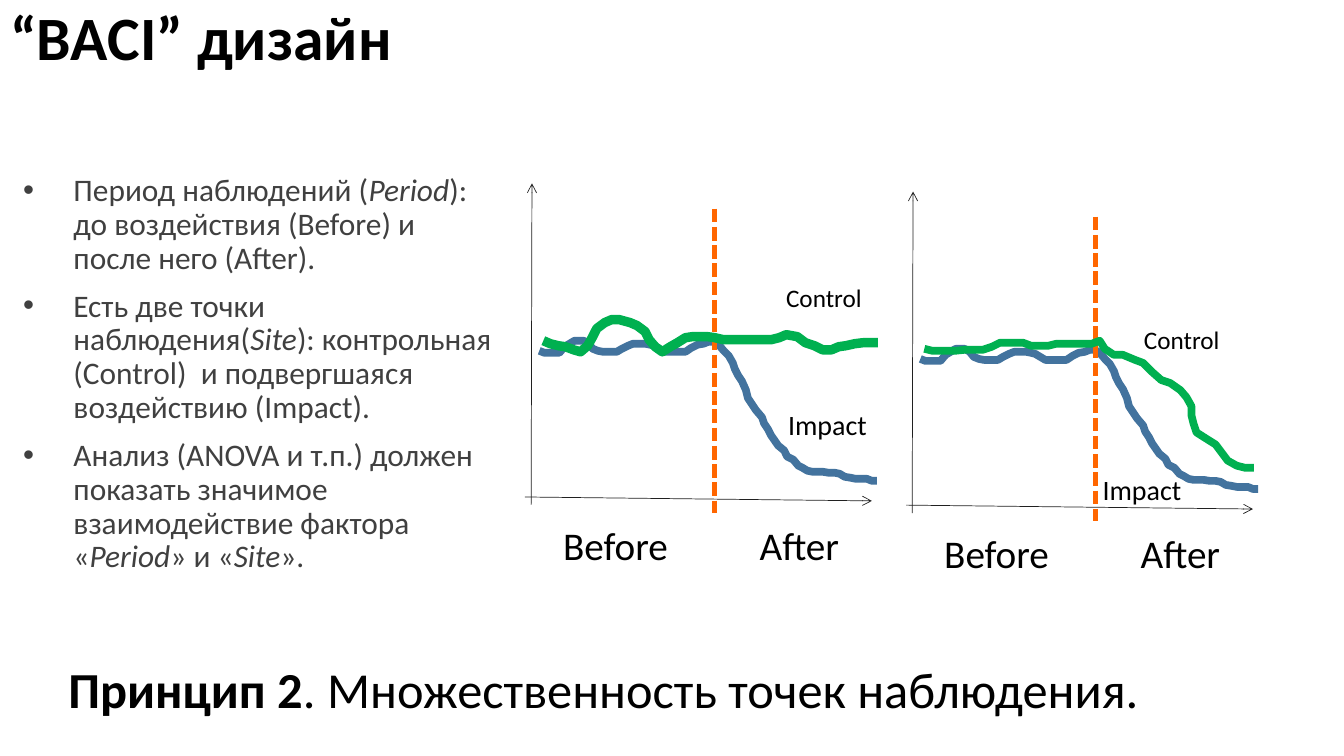
from dataclasses import dataclass

from lxml import etree
from pptx import Presentation
from pptx import util as u
from pptx.dml.color import RGBColor
from pptx.enum import dml, shapes, text
from pptx.oxml.ns import qn


@dataclass(frozen=True)
class Theme:
    font: str = "Calibri"
    black: str = "000000"
    gray: str = "404040"
    axis: str = "202020"
    blue: str = "43739E"
    green: str = "00B050"
    orange: str = "FF6600"
    title: float = 44
    note: float = 36
    period: float = 28
    body: float = 22.4
    impact: float = 20
    control: float = 18
    unit: float = 0.72  # points per curve unit


class Deck:
    def __init__(self, theme, slide):
        self.theme, self.slide = theme, slide

    def fill(self, para, words, size, color, bold=False, mark="italic"):
        """Fill a paragraph; parts between asterisks get the marked style."""
        for i, part in enumerate(words.split("*")):
            if not part:
                continue
            run = para.add_run()
            run.text = part
            font = run.font
            font.name, font.size, font.bold = self.theme.font, u.Pt(size), bold
            font.color.rgb = RGBColor.from_string(color)
            if i % 2 and mark == "bold":
                font.bold = True
            elif i % 2:
                font.italic = True

    def title(self, words, x, y, w, h):
        box = self.slide.shapes.title
        box.left, box.top, box.width, box.height = map(u.Pt, (x, y, w, h))
        frame = box.text_frame
        frame.vertical_anchor = text.MSO_ANCHOR.MIDDLE
        para = frame.paragraphs[0]
        para.alignment, para.line_spacing = text.PP_ALIGN.LEFT, 0.9
        self.fill(para, words, self.theme.title, self.theme.black, bold=True)

    def box(self, x, y, w, h, wrap=True):
        frame = self.slide.shapes.add_textbox(*map(u.Pt, (x, y, w, h))).text_frame
        frame.word_wrap = wrap
        return frame

    def label(self, words, x, y, w, h, size, wrap=True, center=False, mark="italic"):
        para = self.box(x, y, w, h, wrap).paragraphs[0]
        para.alignment = text.PP_ALIGN.CENTER if center else text.PP_ALIGN.LEFT
        self.fill(para, words, size, self.theme.black, mark=mark)

    def bullets(self, items, x, y, w, h):
        frame = self.box(x, y, w, h)
        for i, item in enumerate(items):
            para = frame.add_paragraph() if i else frame.paragraphs[0]
            para.line_spacing = 0.9
            para.space_before = u.Pt(10 if i else 0)
            props = para._p.get_or_add_pPr()
            props.set("marL", str(u.Pt(36)))
            props.set("indent", str(-u.Pt(36)))
            etree.SubElement(props, qn("a:buFont"), typeface="Arial")
            etree.SubElement(props, qn("a:buChar"), char="•")
            self.fill(para, item, self.theme.body, self.theme.gray)

    def line(self, x1, y1, x2, y2, color, width, arrow=False, dash=None):
        link = self.slide.shapes.add_connector(
            shapes.MSO_CONNECTOR.STRAIGHT, *map(u.Pt, (x1, y1, x2, y2)))
        link.line.color.rgb = RGBColor.from_string(color)
        link.line.width = u.Pt(width)
        if dash:
            link.line.dash_style = dash
        if arrow:
            etree.SubElement(link.line._get_or_add_ln(), qn("a:tailEnd"), type="arrow")
        etree.SubElement(link._element.spPr, qn("a:effectLst"))

    def curve(self, points, dx, dy, color, width):
        form = self.slide.shapes.build_freeform(*points[0], scale=u.Pt(self.theme.unit))
        form.add_line_segments(points[1:], close=False)
        shape = form.convert_to_shape(u.Pt(dx), u.Pt(dy))
        shape.shadow.inherit = False
        shape.fill.background()
        shape.line.color.rgb = RGBColor.from_string(color)
        shape.line.width = u.Pt(width)

    def plot(self, dx, dy, control, weight, name, impact):
        """Draw one before/after plot, shifted by dx and dy."""
        t = self.theme
        # Axes
        for x1, y1, x2, y2 in ((375, 355, 622.8, 357.8), (379.4, 360.7, 380, 131)):
            self.line(x1 + dx, y1 + dy, x2 + dx, y2 + dy, t.axis, 0.5, arrow=True)
        # Impact curve and moment of impact
        self.curve(IMPACT, dx, dy, t.blue, 5.5)
        self.line(510.5 + dx, 149 + dy, 510.5 + dx, 366.5 + dy, t.orange, 3.25,
                  dash=dml.MSO_LINE.SQUARE_DOT)
        # Period names
        for words, x in (("Before", 388.2), ("After", 519.5)):
            self.label(words, x + dx, 368.6 + dy, 103, 41, t.period, center=True)
        # Control curve and site names
        self.curve(control, dx, dy, t.green, weight)
        self.label("Control", name[0] + dx, name[1] + dy, 68.4, 29, t.control, wrap=False)
        self.label("Impact", impact[0] + dx, impact[1] + dy, 70.6, 31.5, t.impact, wrap=False)


# Curve points, in theme units
IMPACT = [
    (535, 348), (540, 350), (545, 350), (550, 350), (555, 350), (560, 344),
    (565, 341), (570, 338), (574, 338), (579, 338), (584, 341), (588, 346),
    (593, 348), (598, 349), (603, 349), (608, 349), (612, 349), (617, 346),
    (623, 343), (628, 341), (634, 341), (640, 341), (645, 342), (649, 343),
    (654, 346), (659, 349), (664, 349), (669, 349), (675, 349), (680, 349),
    (686, 345), (692, 342), (698, 341), (703, 339), (708, 339), (713, 342),
    (718, 348), (723, 353), (727, 360), (729, 366), (732, 372), (736, 378),
    (740, 387), (742, 395), (750, 407), (756, 414), (758, 420), (762, 426),
    (765, 432), (772, 442), (778, 447), (781, 453), (787, 456), (792, 462),
    (796, 464), (801, 467), (806, 468), (811, 468), (816, 468), (822, 469),
    (828, 469), (833, 470), (838, 473), (844, 474), (849, 475), (855, 475),
    (860, 475), (865, 477), (870, 477)]
STEADY = [
    (539, 338), (546, 341), (554, 343), (561, 344), (569, 347), (576, 349),
    (583, 343), (588, 334), (592, 326), (600, 320), (607, 317), (614, 317),
    (625, 320), (632, 323), (640, 329), (644, 337), (650, 344), (657, 349),
    (665, 344), (672, 340), (680, 335), (687, 334), (694, 334), (702, 334),
    (709, 335), (718, 337), (725, 337), (733, 337), (742, 337), (751, 337),
    (758, 337), (765, 337), (773, 335), (780, 332), (791, 334), (799, 340),
    (808, 343), (816, 347), (825, 347), (832, 344), (839, 343), (848, 341),
    (856, 340), (863, 340), (871, 340)]
FALLING = [
    (539, 338), (547, 340), (554, 340), (562, 340), (570, 340), (579, 339),
    (588, 339), (597, 339), (606, 336), (614, 332), (622, 332), (630, 332),
    (637, 332), (645, 335), (654, 335), (662, 335), (670, 333), (678, 333),
    (687, 333), (697, 333), (705, 333), (713, 330), (718, 338), (727, 344),
    (736, 344), (748, 349), (756, 352), (765, 361), (774, 369), (783, 372),
    (793, 379), (799, 386), (804, 395), (804, 404), (806, 412), (809, 421),
    (820, 428), (828, 433), (834, 441), (840, 449), (849, 454), (857, 456),
    (866, 456)]


def main():
    show = Presentation()
    show.slide_width, show.slide_height = u.Pt(960), u.Pt(540)
    theme = Theme()
    deck = Deck(theme, show.slides.add_slide(show.slide_layouts[5]))

    # Title and key points
    deck.title("“BACI” дизайн", 0, -2.2, 828, 62.6)
    deck.bullets([
        "Период наблюдений (*Period*): до воздействия (Before) и после него (After).",
        "Есть две точки наблюдения(*Site*): контрольная (Control)  и подвергшаяся "
        "воздействию (Impact).",
        "Анализ (ANOVA и т.п.) должен показать значимое  взаимодействие фактора "
        "«*Period*» и «*Site*».",
    ], 9.4, 121, 354.2, 294)

    # Plots and the principle
    deck.plot(0, 0, STEADY, 6.75, (554.4, 198), (555.8, 287.3))
    deck.label("*Принцип 2*. Множественность точек наблюдения.",
               41.8, 466.6, 846.7, 51, theme.note, mark="bold")
    deck.plot(272.2, 5.8, FALLING, 5.5, (537.8, 222.5), (508.3, 328.3))

    show.save("out.pptx")


if __name__ == "__main__":
    main()
